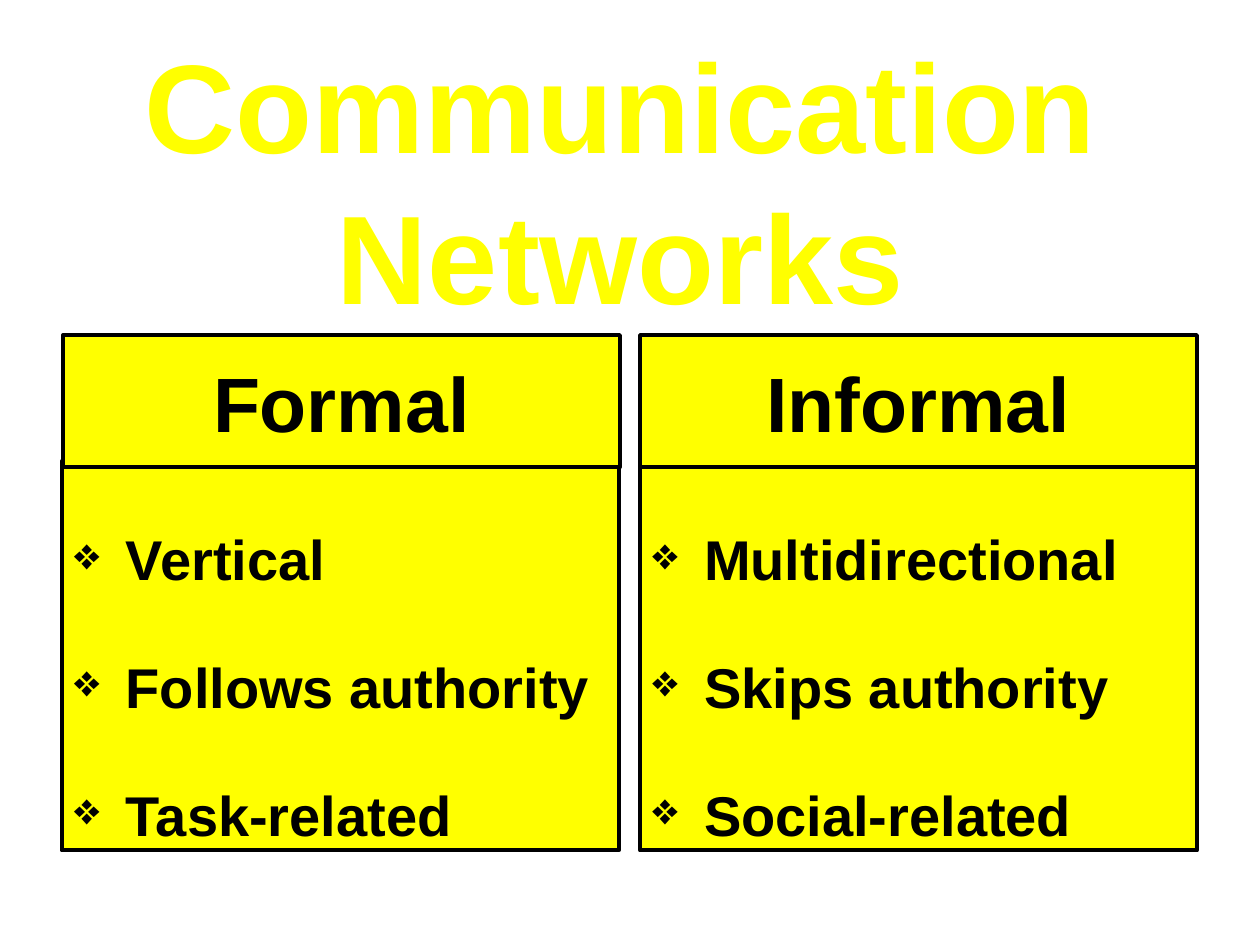
from lxml.etree import SubElement
from pptx import Presentation
from pptx.dml.color import RGBColor
from pptx.enum.shapes import MSO_SHAPE
from pptx.enum.text import MSO_ANCHOR, PP_ALIGN
from pptx.oxml.ns import qn
from pptx.util import Inches, Pt

YELLOW = "FFFF00"
BLACK = "000000"
COLUMN_WIDTH = 4.42
BODY_TOP, BODY_HEIGHT = 3.66, 3.09
HEADING_TOP, HEADING_HEIGHT = 2.66, 1.05
BULLET_INDENT = 0.41

TITLE_FORMAT = {"size": Pt(72), "name": "Arial", "bold": True}
HEADING_FORMAT = {**TITLE_FORMAT, "size": Pt(44)}
BODY_FORMAT = {**TITLE_FORMAT, "size": Pt(32)}

NETWORKS = [
    ("Formal", 0.5, 0.49, ["Vertical", "Follows authority", "Task-related"]),
    ("Informal", 5.08, 5.08, ["Multidirectional", "Skips authority", "Social-related"]),
]


def color(value):
    return RGBColor.from_string(value)


def write_paragraphs(shape, lines, font_format, font_color, alignment):
    frame = shape.text_frame
    frame.word_wrap = True
    frame.vertical_anchor = MSO_ANCHOR.MIDDLE
    for index, line in enumerate(lines):
        paragraph = frame.paragraphs[0] if index == 0 else frame.add_paragraph()
        paragraph.text = line
        paragraph.alignment = alignment
        for run in paragraph.runs:
            for attribute, value in font_format.items():
                setattr(run.font, attribute, value)
            run.font.color.rgb = color(font_color)


def add_title(slide, text):
    box = slide.shapes.add_textbox(Inches(0.42), Inches(0.33), Inches(9.01), Inches(2.17))
    write_paragraphs(box, [text], TITLE_FORMAT, YELLOW, PP_ALIGN.CENTER)


def add_panel(slide, left, top, height):
    shape = slide.shapes.add_shape(
        MSO_SHAPE.RECTANGLE, Inches(left), Inches(top), Inches(COLUMN_WIDTH), Inches(height)
    )
    shape.shadow.inherit = False
    shape.fill.solid()
    shape.fill.fore_color.rgb = color(YELLOW)
    shape.line.color.rgb = color(BLACK)
    shape.line.width = Pt(2.24)
    return shape


def add_bullet(paragraph):
    properties = paragraph._p.get_or_add_pPr()
    properties.set("marL", str(Inches(BULLET_INDENT)))
    properties.set("indent", str(-Inches(BULLET_INDENT)))
    bullet_color = SubElement(properties, qn("a:buClr"))
    SubElement(bullet_color, qn("a:srgbClr"), val=BLACK)
    SubElement(properties, qn("a:buSzPct"), val="80000")
    SubElement(properties, qn("a:buChar"), char="❖")


def add_body(slide, left, items):
    panel = add_panel(slide, left, BODY_TOP, BODY_HEIGHT)
    write_paragraphs(panel, items, BODY_FORMAT, BLACK, PP_ALIGN.LEFT)
    for paragraph in panel.text_frame.paragraphs:
        paragraph.line_spacing = 1.9
        add_bullet(paragraph)


def add_heading(slide, left, text):
    panel = add_panel(slide, left, HEADING_TOP, HEADING_HEIGHT)
    write_paragraphs(panel, [text], HEADING_FORMAT, BLACK, PP_ALIGN.CENTER)


def main():
    presentation = Presentation()
    presentation.slide_width = Inches(10)
    presentation.slide_height = Inches(7.5)
    slide = presentation.slides.add_slide(presentation.slide_layouts[6])
    add_title(slide, "Communication\vNetworks")
    for heading, heading_left, body_left, items in NETWORKS:
        add_body(slide, body_left, items)
        add_heading(slide, heading_left, heading)
    presentation.save("out.pptx")


main()
